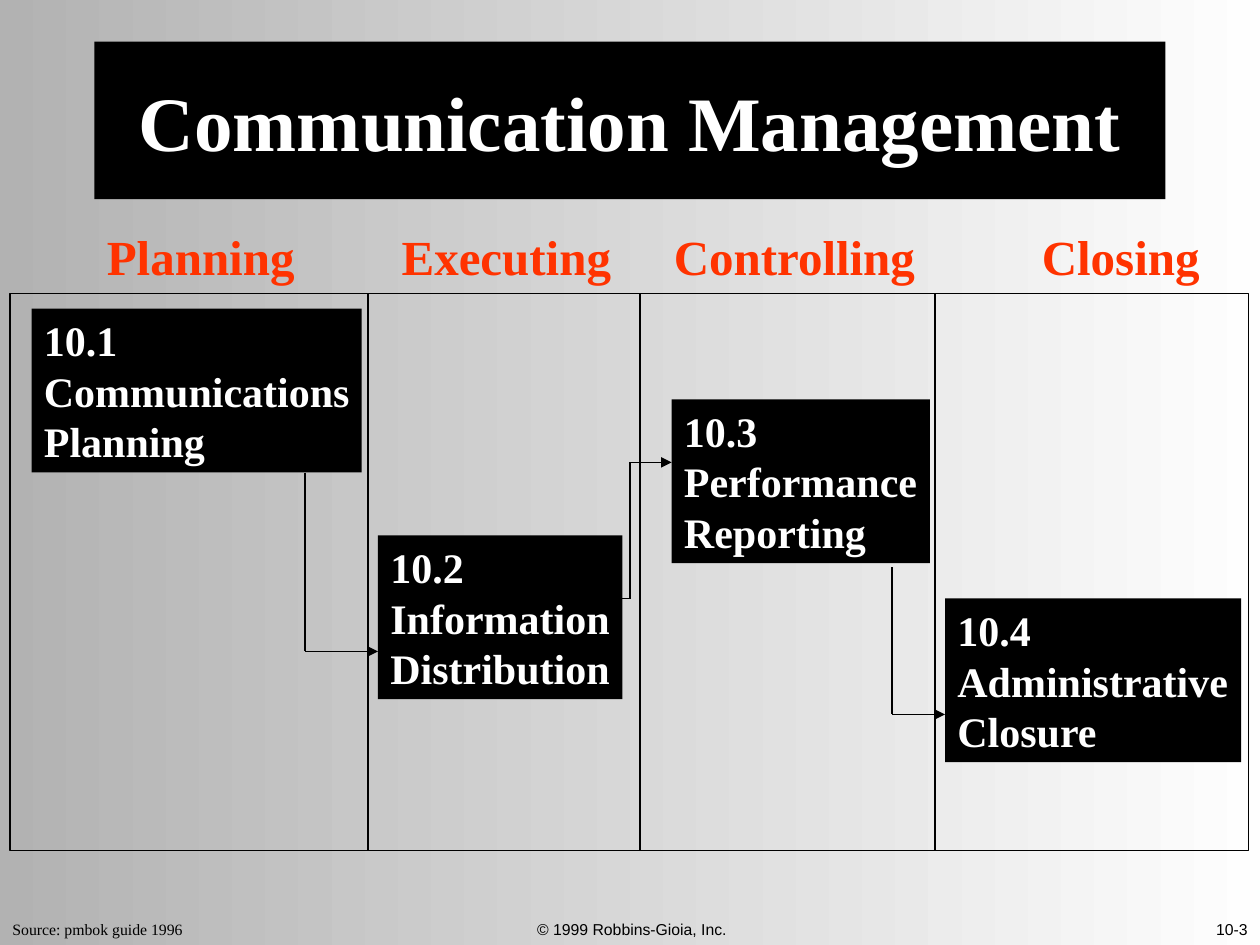
"""Build the Communication Management process slide."""
from lxml.etree import SubElement
from pptx import Presentation
from pptx.dml.color import RGBColor
from pptx.enum.shapes import MSO_CONNECTOR, MSO_SHAPE
from pptx.enum.text import MSO_ANCHOR, PP_ALIGN
from pptx.oxml.ns import qn
from pptx.util import Inches, Pt

COLORS = {"ink": "000000", "paper": "FFFFFF", "heading": "FF3300",
          "light": "FEFEFE", "dark": "B2B2B2"}
SERIF, SANS = "Times New Roman", "Arial"
FORMATS = {
    "title": {"size": Pt(44), "name": SERIF, "bold": True, "color": "paper"},
    "heading": {"size": Pt(28), "name": SERIF, "bold": True, "color": "heading"},
    "process": {"size": Pt(24), "name": SERIF, "bold": True, "color": "paper"},
    "source": {"size": Pt(9), "name": SERIF, "bold": False, "color": "ink"},
    "footer": {"size": Pt(9), "name": SANS, "bold": False, "color": "ink"},
}
TITLE = ("Communication Management", (0.75, 0.33, 8.5, 1.25))
FOOTERS = [
    ("Source: pmbok guide 1996", "source", (0, 7.25, 1.55, 0.25), PP_ALIGN.LEFT, MSO_ANCHOR.TOP),
    ("© 1999 Robbins-Gioia, Inc.", "footer", (3.39, 7, 3.25, 0.5), PP_ALIGN.CENTER, MSO_ANCHOR.BOTTOM),
    ("10-3", "footer", (6.75, 7, 3.25, 0.5), PP_ALIGN.RIGHT, MSO_ANCHOR.BOTTOM),
]
HEADINGS = [("Planning", 0.75, 1.69), ("Executing", 3.09, 1.86),
            ("Controlling", 5.25, 2.12), ("Closing", 8.17, 1.45)]
HEADING_TOP, HEADING_HEIGHT = 1.75, 0.57
PROCESSES = [
    (["10.1", "Communications", "Planning"], 0.25, 2.45, 2.62),
    (["10.2", "Information", "Distribution"], 3, 4.25, 1.94),
    (["10.3", "Performance", "Reporting"], 5.33, 3.17, 2.05),
    (["10.4", "Administrative", "Closure"], 7.5, 4.75, 2.35),
]
PROCESS_HEIGHT = 1.3
FRAME = (0.08, 2.33, 9.83, 4.42)
DIVIDERS = [2.92, 5.08, 7.42]
STUB = [(5.08, 4.83), (5.08, 3.67)]
FLOWS = [
    [(2.42, 3.75), (2.42, 5.17), (3, 5.17)],
    [(4.92, 4.75), (5, 4.75), (5, 3.67), (5.33, 3.67)],
    [(7.08, 4.5), (7.08, 5.67), (7.5, 5.67)],
]


def rgb(name):
    return RGBColor.from_string(COLORS[name])


def write(shape, lines, style, align=PP_ALIGN.LEFT, anchor=MSO_ANCHOR.TOP, wrap=False):
    frame = shape.text_frame
    frame.word_wrap = wrap
    frame.vertical_anchor = anchor
    for index, line in enumerate(lines):
        paragraph = frame.add_paragraph() if index else frame.paragraphs[0]
        paragraph.alignment = align
        span = paragraph.add_run()
        span.text = line
        for key, value in FORMATS[style].items():
            if key == "color":
                span.font.color.rgb = rgb(value)
            else:
                setattr(span.font, key, value)


def add_text(page, area, *content, **options):
    box = page.shapes.add_textbox(*map(Inches, area))
    write(box, *content, **options)


def add_rectangle(page, area, filled=True):
    box = page.shapes.add_shape(MSO_SHAPE.RECTANGLE, *map(Inches, area))
    box.shadow.inherit = False
    if filled:
        box.fill.solid()
        box.fill.fore_color.rgb = rgb("ink")
        box.line.fill.background()
    else:
        box.fill.background()
        box.line.color.rgb = rgb("ink")
        box.line.width = Pt(0.75)
    return box


def add_line(page, start, end, arrow=False):
    line = page.shapes.add_connector(MSO_CONNECTOR.STRAIGHT, *map(Inches, (*start, *end)))
    line.line.color.rgb = rgb("ink")
    line.line.width = Pt(0.75)
    if arrow:
        SubElement(line.line._get_or_add_ln(), qn("a:tailEnd"), type="triangle")
    SubElement(line._element.spPr, qn("a:effectLst"))


def main():
    deck = Presentation()
    deck.slide_width, deck.slide_height = Inches(10), Inches(7.5)
    page = deck.slides.add_slide(deck.slide_layouts[6])
    fill = page.background.fill
    fill.gradient()
    fill.gradient_angle = 180
    for stop, name, position in zip(fill.gradient_stops, ("light", "dark"), (0, 1)):
        stop.color.rgb = rgb(name)
        stop.position = position

    for text, style, area, align, anchor in FOOTERS:
        add_text(page, area, [text], style, align=align, anchor=anchor, wrap=style == "footer")
    add_rectangle(page, FRAME, filled=False)
    title, area = TITLE
    write(add_rectangle(page, area), [title], "title", PP_ALIGN.CENTER, MSO_ANCHOR.MIDDLE, True)
    for heading, left, width in HEADINGS:
        add_text(page, (left, HEADING_TOP, width, HEADING_HEIGHT), [heading], "heading")
    for lines, left, top, width in PROCESSES:
        write(add_rectangle(page, (left, top, width, PROCESS_HEIGHT)), lines, "process")

    top, bottom = FRAME[1], FRAME[1] + FRAME[3]
    for x in DIVIDERS:
        add_line(page, (x, top), (x, bottom))
    add_line(page, *STUB)
    for points in FLOWS:
        for start, end in zip(points, points[1:]):
            add_line(page, start, end, arrow=end == points[-1])
    deck.save("out.pptx")


if __name__ == "__main__":
    main()
